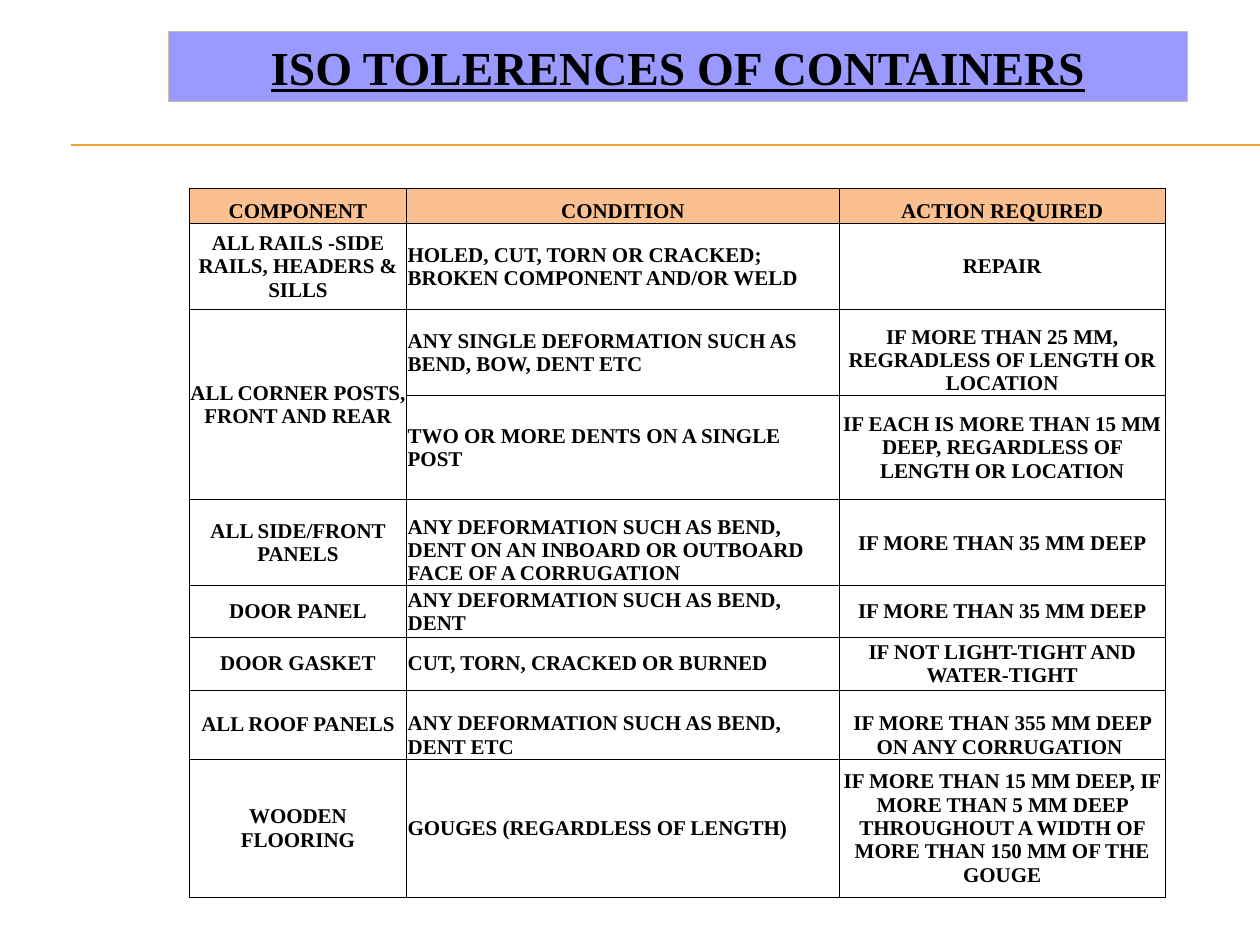
from lxml import etree
from pptx import Presentation
from pptx import util as u
from pptx.dml.color import RGBColor
from pptx.enum import shapes, text
from pptx.oxml import ns

BLACK = RGBColor(0x00, 0x00, 0x00)
LAVENDER = RGBColor(0x99, 0x99, 0xFF)
SAND = RGBColor(0xC7, 0xBF, 0xAC)
GOLD = RGBColor(0xF0, 0xA2, 0x2E)
PEACH = RGBColor(0xFA, 0xC0, 0x90)

TOP, MIDDLE, BOTTOM = (text.MSO_ANCHOR.TOP, text.MSO_ANCHOR.MIDDLE,
                       text.MSO_ANCHOR.BOTTOM)
LEFT, CENTER = text.PP_ALIGN.LEFT, text.PP_ALIGN.CENTER

TITLE_FONT = {"name": "Times New Roman", "size": u.Pt(36), "bold": True,
              "underline": True}
CELL_FONT = {"name": "Times New Roman", "size": u.Pt(16), "bold": True}
CELL_MARGINS = {"margin_left": 0.01, "margin_top": 0.01,
                "margin_right": 0.01, "margin_bottom": 0}


def write_text(paragraph, words, font_format, alignment):
    paragraph.alignment = alignment
    run = paragraph.add_run()
    run.text = words
    run.font.color.rgb = BLACK
    for name, value in font_format.items():
        setattr(run.font, name, value)


def add_borders(cell):
    properties = cell._tc.get_or_add_tcPr()
    for side in ("a:lnL", "a:lnR", "a:lnT", "a:lnB"):
        line = etree.SubElement(properties, ns.qn(side), w=str(u.Pt(0.5)))
        fill = etree.SubElement(line, ns.qn("a:solidFill"))
        etree.SubElement(fill, ns.qn("a:srgbClr"), val=str(BLACK))


presentation = Presentation()
presentation.slide_width = u.Inches(13.32)
presentation.slide_height = u.Inches(9.99)
slide = presentation.slides.add_slide(presentation.slide_layouts[6])

# Double rule under the title
for y in (1.53, 1.54):
    rule = slide.shapes.add_connector(
        shapes.MSO_CONNECTOR.STRAIGHT,
        u.Inches(0.75), u.Inches(y), u.Inches(13.32), u.Inches(y))
    rule.line.color.rgb = GOLD
    rule.line.width = u.Pt(0.75)
    etree.SubElement(rule._element.spPr, ns.qn("a:effectLst"))

# Title banner
banner = slide.shapes.add_shape(
    shapes.MSO_SHAPE.RECTANGLE,
    u.Inches(1.78), u.Inches(0.33), u.Inches(10.77), u.Inches(0.74))
banner.shadow.inherit = False
banner.fill.solid()
banner.fill.fore_color.rgb = LAVENDER
banner.line.color.rgb = SAND
banner.line.width = u.Pt(0.75)
frame = banner.text_frame
frame_format = {"margin_left": u.Inches(0.13), "margin_right": u.Inches(0.13),
                "margin_top": u.Inches(0.07), "margin_bottom": u.Inches(0.07),
                "vertical_anchor": TOP, "word_wrap": True,
                "auto_size": text.MSO_AUTO_SIZE.SHAPE_TO_FIT_TEXT}
for name, value in frame_format.items():
    setattr(frame, name, value)
write_text(frame.paragraphs[0], "ISO TOLERENCES OF CONTAINERS", TITLE_FONT, CENTER)

# Tolerance table: row height and the three cell texts
column_widths = [2.3, 4.57, 3.45]
rows = [
    (0.37, "COMPONENT", "CONDITION", "ACTION REQUIRED"),
    (0.91, "ALL RAILS -SIDE RAILS, HEADERS & SILLS",
     "HOLED, CUT, TORN OR CRACKED; BROKEN COMPONENT AND/OR WELD",
     "REPAIR"),
    (0.91, "ALL CORNER POSTS, FRONT AND REAR",
     "ANY SINGLE DEFORMATION SUCH AS BEND, BOW, DENT ETC",
     "IF MORE THAN 25 MM, REGRADLESS OF LENGTH OR LOCATION"),
    (1.1, "",
     "TWO OR MORE DENTS ON A SINGLE POST",
     "IF EACH IS MORE THAN 15 MM DEEP, REGARDLESS OF LENGTH OR LOCATION"),
    (0.91, "ALL SIDE/FRONT PANELS",
     "ANY DEFORMATION SUCH AS BEND, DENT ON AN INBOARD OR OUTBOARD FACE "
     "OF A CORRUGATION",
     "IF MORE THAN 35 MM DEEP"),
    (0.54, "DOOR PANEL",
     "ANY DEFORMATION SUCH AS BEND, DENT",
     "IF MORE THAN 35 MM DEEP"),
    (0.56, "DOOR GASKET",
     "CUT, TORN, CRACKED OR BURNED",
     "IF NOT LIGHT-TIGHT AND WATER-TIGHT"),
    (0.73, "ALL ROOF PANELS",
     "ANY DEFORMATION SUCH AS BEND, DENT ETC",
     "IF MORE THAN 355 MM DEEP ON ANY CORRUGATION "),
    (1.46, "WOODEN FLOORING",
     "GOUGES (REGARDLESS OF LENGTH)",
     "IF MORE THAN 15 MM DEEP, IF MORE THAN 5 MM DEEP THROUGHOUT A WIDTH "
     "OF MORE THAN 150 MM OF THE GOUGE"),
]
bottom_cells = {(0, 0), (0, 1), (0, 2), (2, 2), (4, 1), (7, 1), (7, 2)}

table = slide.shapes.add_table(
    len(rows), len(column_widths), u.Inches(2), u.Inches(1.99),
    u.Inches(sum(column_widths)), u.Inches(sum(row[0] for row in rows))).table
table.horz_banding = False
for column, width in zip(table.columns, column_widths):
    column.width = u.Inches(width)

for row_index, (height, *words_in_row) in enumerate(rows):
    table.rows[row_index].height = u.Inches(height)
    for column_index, words in enumerate(words_in_row):
        cell = table.cell(row_index, column_index)
        add_borders(cell)
        if row_index == 0:
            cell.fill.solid()
            cell.fill.fore_color.rgb = PEACH
        else:
            cell.fill.background()
        for name, value in CELL_MARGINS.items():
            setattr(cell, name, u.Inches(value))
        is_bottom = (row_index, column_index) in bottom_cells
        cell.vertical_anchor = BOTTOM if is_bottom else MIDDLE
        alignment = LEFT if column_index == 1 and row_index > 0 else CENTER
        if words:
            write_text(cell.text_frame.paragraphs[0], words, CELL_FONT, alignment)

# Corner posts cover two conditions
table.cell(2, 0).merge(table.cell(3, 0))

presentation.save("out.pptx")
